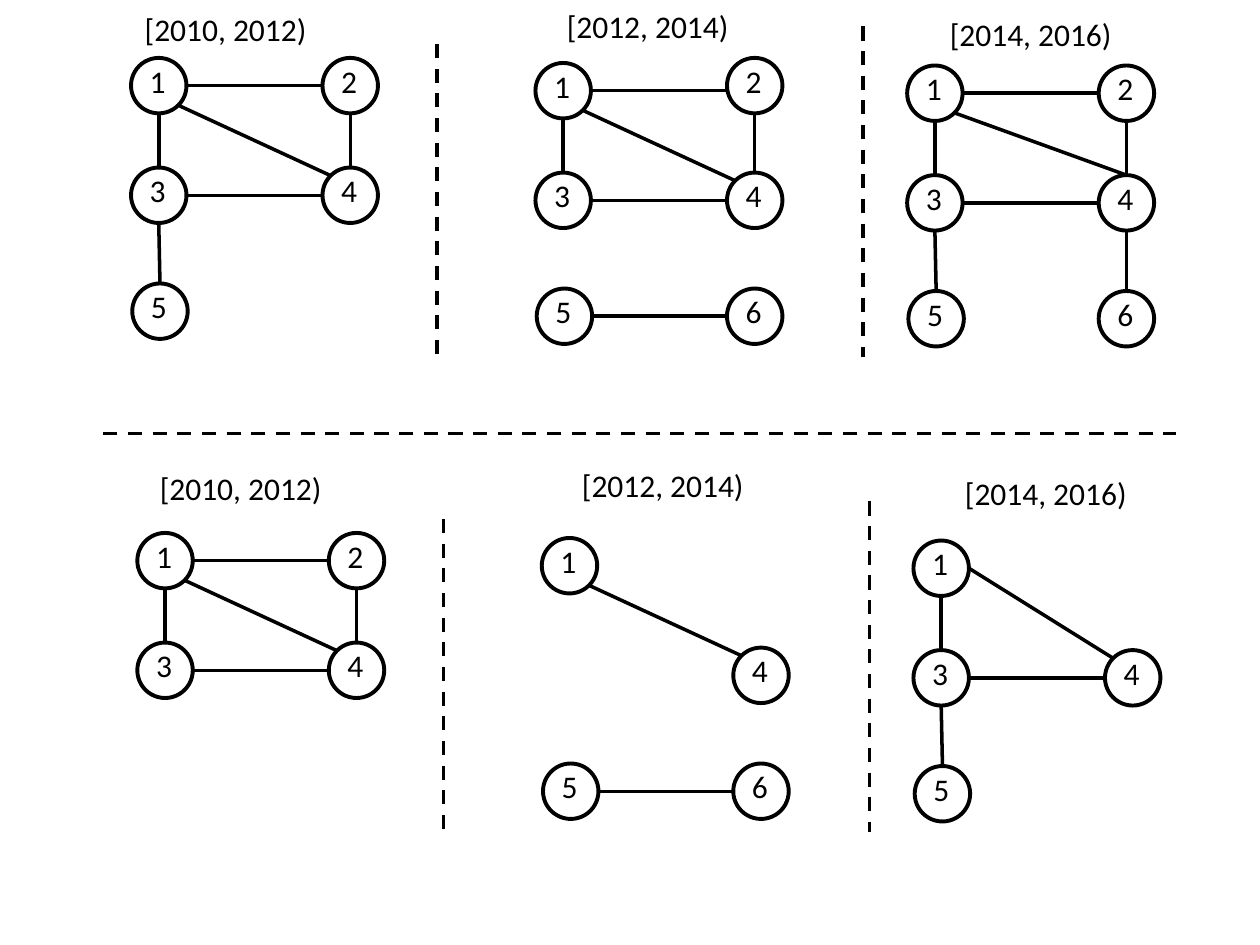
from pptx import Presentation
from pptx.dml.color import RGBColor
from pptx.enum.dml import MSO_LINE
from pptx.enum.shapes import MSO_CONNECTOR, MSO_SHAPE
from pptx.enum.text import MSO_AUTO_SIZE as FIT
from pptx.util import Inches, Pt
from lxml import etree

INK = "000000"
SIZE = 0.44  # node diameter
R = SIZE / 2
D = R * 0.71  # diagonal point on the circle

# Points on a node's rim, measured from its centre
RIM = {"N": (0, -R), "S": (0, R), "E": (R, 0), "W": (-R, 0),
       "SE": (D, D), "NW": (-D, -D)}
# Node places, measured from node 1
NODES = {"1": (0, 0), "2": (1.52, 0), "3": (0, 0.87), "4": (1.52, 0.87),
         "5": (0.01, 1.79), "6": (1.52, 1.79)}
# Rim points where each edge leaves and arrives
EDGES = {"12": ("E", "W"), "34": ("E", "W"), "56": ("E", "W"),
         "13": ("S", "N"), "24": ("S", "N"), "35": ("S", "N"),
         "46": ("S", "N"), "14": ("SE", "NW")}


def write(shapes, text, x, y, w, wrap=True, size=18, font="Calibri", color=INK):
    """Add a text box and return it."""
    box = shapes.add_textbox(Inches(x), Inches(y), Inches(w), Inches(0.4))
    frame = box.text_frame
    frame.word_wrap = wrap
    frame.auto_size = FIT.SHAPE_TO_FIT_TEXT
    run = frame.paragraphs[0].add_run()
    run.text = text
    run.font.size = Pt(size)
    run.font.name = font
    run.font.color.rgb = RGBColor.from_string(color)
    return box


def draw(shapes, start, end, dash=False):
    """Add a straight line, solid or dashed, and return it."""
    line = shapes.add_connector(MSO_CONNECTOR.STRAIGHT,
                                *[Inches(v) for v in (*start, *end)])
    line.line.color.rgb = RGBColor.from_string(INK)
    line.line.width = Pt(2)
    if dash:
        line.line.dash_style = MSO_LINE.DASH
    props = line._element.spPr
    etree.SubElement(props, props.nsmap["a"].join("{}") + "effectLst")
    return line


deck = Presentation()
deck.slide_width, deck.slide_height = Inches(10), Inches(7.5)
slide = deck.slides.add_slide(deck.slide_layouts[6])

# Per column: years, title place, node 1 place
COLS = [("[2010, 2012)", (1.05, 0.03), (1.04, 0.46)),
        ("[2012, 2014)", (4.4, 0.01), (4.25, 0.5)),
        ("[2014, 2016)", (7.44, 0.07), (7.2, 0.52))]
# Per row: graph shift, title shift, then nodes, edges and changed rim points
ROWS = [((0, 0), (0, 0),
         [("12345", "12 13 14 24 34 35", {}),
          ("123456", "12 13 14 24 34 56", {}),
          ("123456", "12 13 14 24 34 35 46", {"14": ("SE", "N")})]),
        ((0.05, 3.77), (0.12, 3.64),
         [("1234", "12 13 14 24 34", {}),
          ("1456", "14 56", {}),
          ("1345", "13 14 34 35", {"14": ("E", "NW")})])]

for (dx, dy), (tx, ty), graphs in ROWS:
    for (years, title, first), (nodes, edges, change) in zip(COLS, graphs):
        write(slide.shapes, years, title[0] + tx, title[1] + ty, 1.5, wrap=False)
        group = slide.shapes.add_group_shape().shapes
        mid = {}
        for node in nodes:
            x = first[0] + dx + NODES[node][0]
            y = first[1] + dy + NODES[node][1]
            if node == "2" and years == "[2012, 2014)":
                y -= 0.04
            mid[node] = (x + R, y + R)
            write(group, node, x + 0.05, y - 0.02, 0.3)
            ring = group.add_shape(MSO_SHAPE.OVAL, Inches(x), Inches(y),
                                   Inches(SIZE), Inches(SIZE))
            ring.shadow.inherit = False
            ring.fill.background()
            ring.line.color.rgb = RGBColor.from_string(INK)
            ring.line.width = Pt(2.25)
        for edge in edges.split():
            sides = change.get(edge, EDGES[edge])
            ends = [(mid[n][0] + RIM[s][0], mid[n][1] + RIM[s][1])
                    for n, s in zip(edge, sides)]
            if edge == "12":  # level with node 1
                ends[1] = (ends[1][0], ends[0][1])
            draw(group, *ends)
    for x, top in ((3.47, 0.35), (6.85, 0.21)):
        draw(slide.shapes, (x + dx, top + dy), (x + dx, 2.83 + dy), dash=True)

draw(slide.shapes, (0.82, 3.44), (9.33, 3.44), dash=True)
deck.save("out.pptx")
